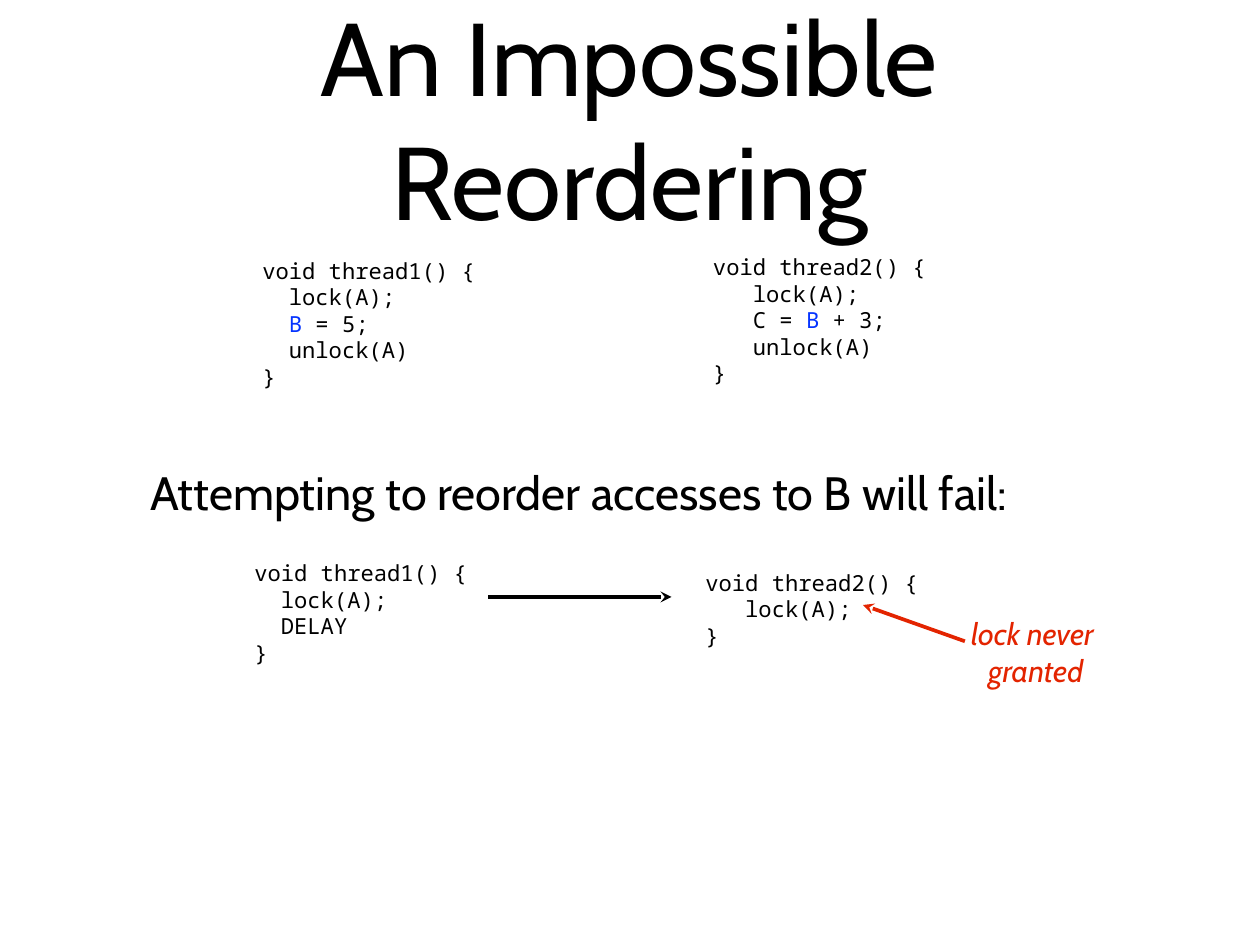
from lxml import etree
from pptx import Presentation
from pptx import util as u
from pptx.dml.color import RGBColor
from pptx.enum import shapes, text
from pptx.oxml import ns

BLACK, BLUE, RED = "000000", "0433FF", "E32400"
PROSE, MONO = "Cabin", "Noto Sans Mono"
INSET = 0.15
CODE_SIZE = 18
CODE_WIDTH = 6.81
CHARACTER_WIDTH = 0.6  # Noto Sans Mono advance, in ems
SHARED = "B"

# lines, (left, top, width, height) in cm, size, colour, italic, wrap
PROSE_BLOCKS = [
    (["An Impossible Reordering"],
     (2.08, -0.03, 31.93, 6.78), 84, BLACK, False, True),
    (["Attempting to reorder accesses to B will fail:"],
     (0.81, 13.18, 31.57, 1.83), 38, BLACK, False, True),
    (["lock never", " granted"],
     (27.64, 17.53, 3.91, 2.34), 25, RED, True, False),
]

# (left, top, height) in cm, indent of the body in characters, code lines
CODE_BLOCKS = [
    ((7.37, 7.19, 4.17), 2,
     ["void thread1() {", "lock(A);", "B = 5;", "unlock(A)", "}"]),
    ((20.29, 7.09, 4.17), 3,
     ["void thread2() {", "lock(A);", "C = B + 3;", "unlock(A)", "}"]),
    ((7.14, 15.88, 3.38), 2,
     ["void thread1() {", "lock(A);", "DELAY", "}"]),
    ((20.07, 16.15, 2.62), 3,
     ["void thread2() {", "lock(A);", "}"]),
]

# start, end (with the arrowhead), colour
ARROWS = [
    ((14.0, 17.12), (19.25, 17.12), BLACK),
    ((27.66, 18.39), (24.74, 17.35), RED),
]


def colour(hex_code):
    return RGBColor.from_string(hex_code)


def add_box(page, place, wrap):
    """Add a vertically centred text box and return its text frame."""
    frame = page.shapes.add_textbox(*map(u.Cm, place)).text_frame
    frame.word_wrap = wrap
    frame.vertical_anchor = text.MSO_ANCHOR.MIDDLE
    frame.margin_left = frame.margin_right = u.Cm(INSET)
    frame.margin_top = frame.margin_bottom = u.Cm(INSET)
    return frame


def paragraphs(frame, lines):
    """Yield one paragraph per line, using the frame's first one."""
    for index, line in enumerate(lines):
        yield (frame.add_paragraph() if index else frame.paragraphs[0]), line


def set_font(font, name, size, hex_code):
    font.name = name
    font.size = u.Pt(size)
    font.color.rgb = colour(hex_code)


def add_prose(page, lines, place, size, hex_code, italic, wrap):
    for para, line in paragraphs(add_box(page, place, wrap), lines):
        para.alignment = text.PP_ALIGN.CENTER
        set_font(para.font, PROSE, size, hex_code)
        para.font.italic = italic
        para.add_run().text = line


def add_code(page, place, indent, lines):
    """Add a function with its body indented and the shared variable in blue."""
    left, top, height = place
    frame = add_box(page, (left, top, CODE_WIDTH, height), True)
    body_indent = u.Pt(indent * CHARACTER_WIDTH * CODE_SIZE)
    for para, line in paragraphs(frame, lines):
        set_font(para.font, MONO, CODE_SIZE, BLACK)
        if line not in (lines[0], lines[-1]):
            para._p.get_or_add_pPr().set("marL", str(body_indent))
        for part in filter(None, line.partition(SHARED)):
            span = para.add_run()
            span.text = part
            set_font(span.font, MONO, CODE_SIZE,
                     BLUE if part == SHARED else BLACK)


def add_arrow(page, start, end, hex_code):
    arrow = page.shapes.add_connector(
        shapes.MSO_CONNECTOR.STRAIGHT, *map(u.Cm, start + end))
    arrow.line.width = u.Pt(3)
    arrow.line.color.rgb = colour(hex_code)
    properties = arrow._element.spPr
    etree.SubElement(properties.find(ns.qn("a:ln")), ns.qn("a:tailEnd"),
                     type="stealth")
    etree.SubElement(properties, ns.qn("a:effectLst"))


def main():
    deck = Presentation()
    deck.slide_width, deck.slide_height = u.Cm(36.12), u.Cm(27.1)
    page = deck.slides.add_slide(deck.slide_layouts[6])
    for block in PROSE_BLOCKS:
        add_prose(page, *block)
    for block in CODE_BLOCKS:
        add_code(page, *block)
    for arrow in ARROWS:
        add_arrow(page, *arrow)
    deck.save("out.pptx")


if __name__ == "__main__":
    main()
